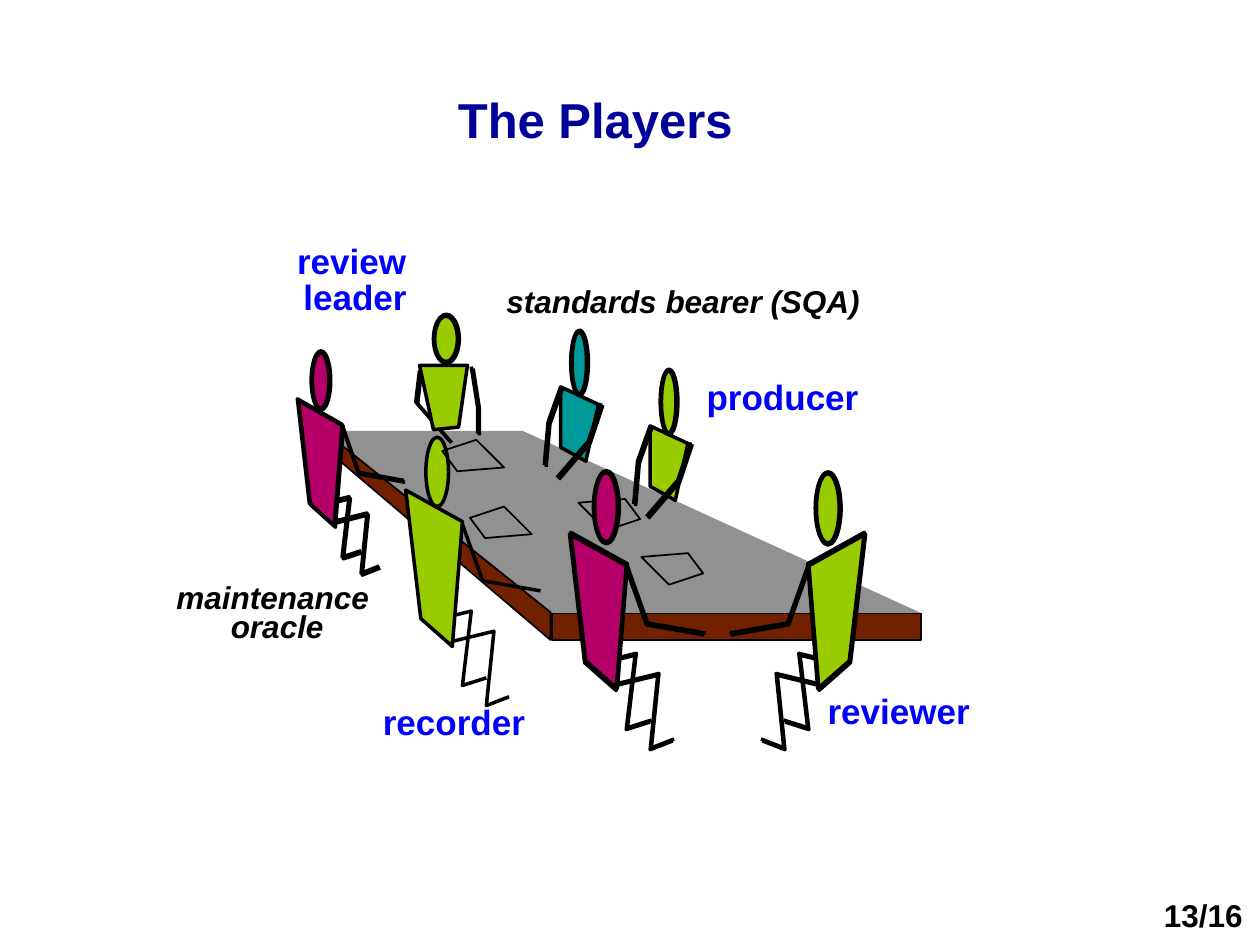
from pptx import Presentation
from pptx import util as u
from pptx.dml.color import RGBColor
from pptx.enum import shapes, text

# Grid: 1000 columns by 750 rows
CELL = u.Inches(0.01)
COLS, ROWS = 1000, 750

NAVY = RGBColor(0x00, 0x00, 0x99)
BLUE = RGBColor(0x00, 0x00, 0xFF)
BLACK = RGBColor(0x00, 0x00, 0x00)
GREY = RGBColor(0x91, 0x91, 0x91)
BROWN = RGBColor(0x71, 0x20, 0x00)
LIME = RGBColor(0x99, 0xCC, 0x00)
TEAL = RGBColor(0x00, 0x99, 0x99)
PLUM = RGBColor(0xB5, 0x00, 0x69)
THIN, BOLD = 1, 2

# Body parts, measured from the shoulder
LEGS = [
    [(15, 105), (52, 96), (45, 155), (64, 149)],
    [(33, 121), (70, 112), (64, 171), (82, 164)],
]
BODY = [(12, 102), (0, 0), (45, 25), (37, 124)]
ARM = [(45, 27), (61, 72), (107, 80)]
SIDE_BODY = [(0, 48), (0, 0), (30, 14), (20, 59)]
SIDE_ARMS = [
    [(32, 13), (22, 43), (-3, 72)],
    [(0, 0), (-10, 28), (-13, 62)],
]
LEAD_BODY = [(333, 290), (371, 290), (364, 339), (344, 341)]
LEAD_ARMS = [
    [(333, 294), (330, 319), (357, 350)],
    [(374, 291), (379, 323), (379, 344)],
]
PAPER = [(12, 25), (49, 22), (27, 0), (0, 9)]


def paint(shape, fill, line):
    shape.shadow.inherit = False
    if fill is None:
        shape.fill.background()
    else:
        shape.fill.solid()
        shape.fill.fore_color.rgb = fill
    if line:
        shape.line.color.rgb = BLACK
        shape.line.width = u.Pt(line)
    else:
        shape.line.fill.background()


def place(points, x, y, sx=1, sy=1):
    return [(x + px * sx, y + py * sy) for px, py in points]


def path(slide, points, fill=None, line=BOLD, close=False):
    pts = [(round(x * CELL), round(y * CELL)) for x, y in points]
    pen = slide.shapes.build_freeform(*pts[0], scale=1.0)
    pen.add_line_segments(pts[1:], close=close)
    paint(pen.convert_to_shape(), fill, line)


def preset(slide, kind, box, fill=None, line=BOLD):
    shape = slide.shapes.add_shape(kind, *[round(v * CELL) for v in box])
    paint(shape, fill, line)


def head(slide, box, fill, ring=True):
    oval = shapes.MSO_SHAPE.OVAL
    preset(slide, oval, box, fill)
    if ring:
        x, y, w, h = box
        preset(slide, oval, (x - 1, y - 1.5, w + 2.5, h + 3))


def sitter(slide, x, y, fill, top, sx=1, sy=1, shift=None):
    """A person on a chair; a shift strokes every outline a second time."""
    moves = [(0, 0)] + ([shift] if shift else [])

    def stroke(points, color=None, close=False):
        for i, (dx, dy) in enumerate(moves):
            shade = None if i else color
            path(slide, place(points, x + dx, y + dy, sx, sy), shade, close=close)

    for leg in LEGS:
        stroke(leg)
    stroke(BODY, fill, True)
    head(slide, top, fill, bool(shift))
    stroke(ARM)


def side(slide, x, y, fill):
    """A person on the far side of the table."""
    path(slide, place(SIDE_BODY, x, y), fill, close=True)
    head(slide, (x + 9, y - 43.5, 11.5, 49), fill)
    for arm in SIDE_ARMS:
        for d in (1.5, 0):
            path(slide, place(arm, x + d, y + d))


def leader(slide):
    for arm in LEAD_ARMS:
        for d in (1.5, 0):
            path(slide, place(arm, d, d))
    head(slide, (345, 251, 18, 36), LIME)
    path(slide, LEAD_BODY, LIME, close=True)


def table(slide):
    path(slide, [(257, 342), (415, 342), (732, 487), (437, 487)], GREY, 0, True)
    preset(slide, shapes.MSO_SHAPE.RECTANGLE, (438, 487, 293, 21), BROWN, THIN)
    path(slide, [(437, 486), (257, 342), (257, 355), (437, 508)], BROWN, THIN, True)


def papers(slide):
    for x, y, turn in [(373, 402, 1), (558, 464, -1), (508, 421, -1), (351, 349, 1)]:
        path(slide, place(PAPER, x, y, turn, turn), None, THIN, True)


def style(par, size, color, italic=False):
    font = par.font
    font.name, font.size = "Arial", u.Pt(size)
    font.bold, font.italic = True, italic
    font.color.rgb = color


def label(slide, words, box, size, color, italic=False, center=False, space=None):
    frame = slide.shapes.add_textbox(*[v * CELL for v in box]).text_frame
    frame.word_wrap = True
    frame.text = words
    for par in frame.paragraphs:
        style(par, size, color, italic)
        if center:
            par.alignment = text.PP_ALIGN.CENTER
        if space:
            par.line_spacing = space


def title(slide, words):
    shape = slide.shapes.title
    shape.left, shape.top = 153 * CELL, 60 * CELL
    shape.width, shape.height = 639 * CELL, 69 * CELL
    frame = shape.text_frame
    frame.text = words
    frame.vertical_anchor = text.MSO_ANCHOR.MIDDLE
    frame.paragraphs[0].alignment = text.PP_ALIGN.CENTER
    style(frame.paragraphs[0], 28, NAVY)


def main():
    deck = Presentation()
    deck.slide_width, deck.slide_height = COLS * CELL, ROWS * CELL
    slide = deck.slides.add_slide(deck.slide_layouts[5])
    title(slide, "The Players")

    # Table and people, back to front
    table(slide)
    sitter(slide, 322, 389, LIME, (338, 347, 18, 55))
    sitter(slide, 687, 424, LIME, (648, 376, 18, 55), sx=-1, shift=(-1, -1.5))
    side(slide, 516, 338, LIME)
    papers(slide)
    leader(slide)
    side(slide, 445, 307, TEAL)
    sitter(slide, 237, 318, PLUM, (248, 280, 13, 44), 0.79, 0.81, (-1, -1.5))
    sitter(slide, 452, 424, PLUM, (472, 375, 18, 55), shift=(1, -1.5))

    # Roles, with room to spare on one line
    for words, box in [
        ("review", (226, 185, 124, 43)),
        ("leader", (231, 214, 110, 43)),
        ("producer", (551, 293, 150, 43)),
        ("recorder", (294, 551, 143, 43)),
        ("reviewer", (647, 542, 143, 43)),
    ]:
        label(slide, words, box, 20, BLUE)
    label(slide, "standards bearer (SQA)", (392, 219, 315, 40), 18, BLACK, True)
    label(slide, "maintenance \noracle", (130, 461, 180, 55), 18, BLACK, True, True, 0.75)

    # Page number
    label(slide, "13/16", (910, 706, 90, 44), 18, BLACK, center=True)
    deck.save("out.pptx")


main()
